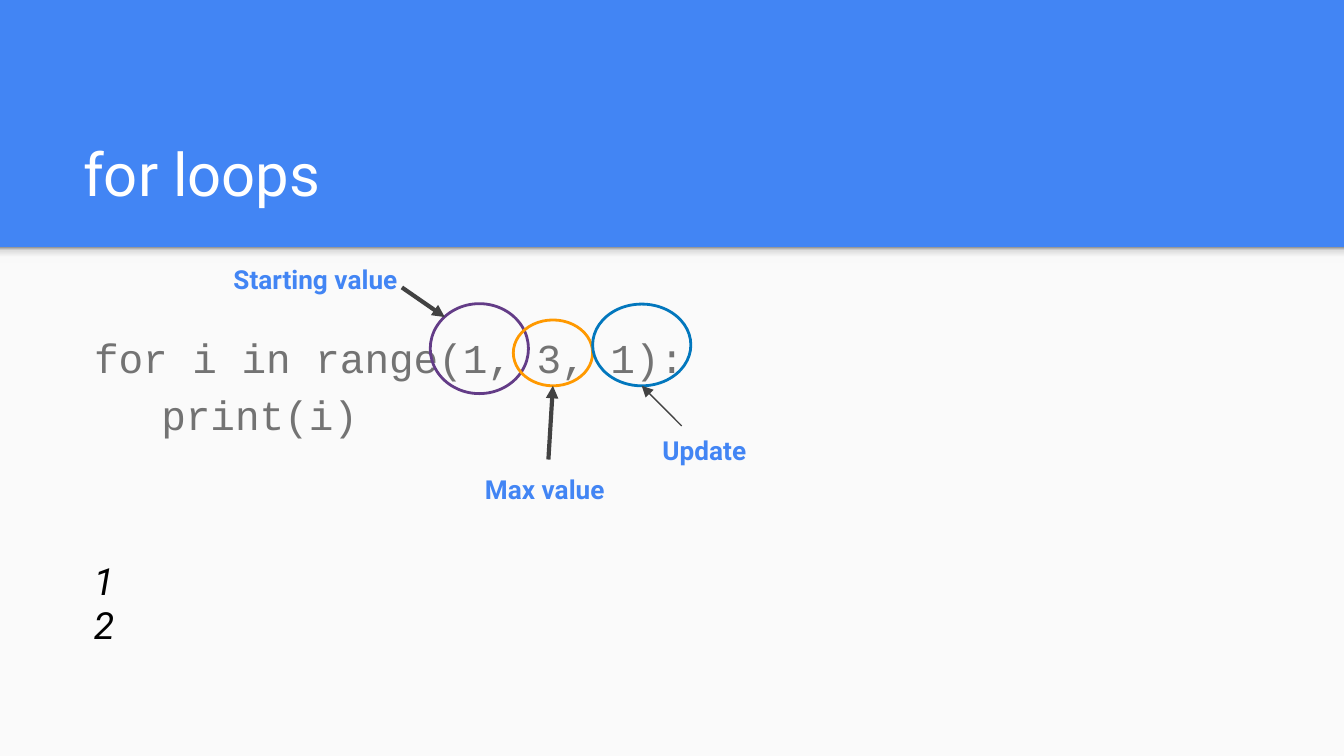
from copy import deepcopy
from dataclasses import dataclass

from lxml.etree import SubElement
from pptx import Presentation
from pptx.dml.color import RGBColor as Rgb
from pptx.enum.shapes import MSO_CONNECTOR as Conn, MSO_SHAPE as Kind
from pptx.enum.text import MSO_ANCHOR as Anchor, MSO_AUTO_SIZE as Fit, PP_ALIGN as Align
from pptx.oxml.ns import qn
from pptx.util import Pt

Box = tuple[float, float, float, float]
Spot = tuple[float, float]


@dataclass(frozen=True)
class Theme:
    blue: str = "4285F4"
    page: str = "FAFAFA"
    white: str = "FFFFFF"
    code: str = "737373"
    black: str = "000000"
    arrow: str = "424242"
    start: str = "633C87"
    stop: str = "FF9900"
    step: str = "0277BD"
    shade: tuple = ((0, "F9F9F9"), (0.36, "F9F9F9"), (0.8, "DEDEDE"), (1, "999999"))
    font: str = "Roboto"
    mono: str = "Courier New"
    title: int = 32
    body: int = 22
    out: int = 20
    note: int = 14


@dataclass(frozen=True)
class Note:
    """A label, the ring it explains and the arrow between them."""
    text: str
    label: Box
    ring: Box
    tint: str
    tail: Spot
    tip: Spot
    width: float = 2.25


T = Theme()
WIDE, HIGH, BAND = 720, 405, 132.5
NOTES = (
    Note("Starting value", (118, 134, 141, 33), (230.5, 162.7, 52.6, 48.2),
         T.start, (215.3, 154), (238.3, 169.9)),
    Note("Max value", (252.7, 246.2, 83.5, 31), (275, 171.4, 42.5, 35.3),
         T.stop, (293.8, 246.2), (296.2, 206.7)),
    Note("Update", (347.8, 225.4, 75, 31), (317.5, 162.9, 52.6, 43.8),
         T.step, (365.2, 228.2), (343.8, 206.7), 0.75),
)


def place(shape, box: Box) -> None:
    shape.left, shape.top, shape.width, shape.height = map(Pt, box)


def write(shape, *lines: str, size: int, color: str, font: str = T.font,
          bold: bool = False, italic: bool = False, anchor=Anchor.TOP,
          space: float = 1, after: float = 0) -> None:
    frame = shape.text_frame
    frame.text = "\n".join(lines)
    frame.word_wrap, frame.auto_size = True, Fit.NONE
    frame.vertical_anchor = anchor
    frame.margin_left = frame.margin_right = Pt(7.2)
    frame.margin_top = frame.margin_bottom = Pt(7.2)
    for para in frame.paragraphs:
        para.alignment = Align.LEFT
        para.line_spacing = space
        para.space_before, para.space_after = Pt(0), Pt(after)
        for run in para.runs:
            face = run.font
            face.name, face.size = font, Pt(size)
            face.bold, face.italic = bold, italic
            face.color.rgb = Rgb.from_string(color)
        for gap in para._p.findall(qn("a:br")):
            gap.append(deepcopy(para.runs[0]._r.rPr))


def plain(para) -> None:
    """Remove the bullet and the indent of a list paragraph."""
    props = para._p.get_or_add_pPr()
    props.set("marL", "0")
    props.set("indent", "0")
    SubElement(props, qn("a:buNone"))


def label(slide, box: Box, *lines: str, **look) -> None:
    write(slide.shapes.add_textbox(*map(Pt, box)), *lines, **look)


def block(slide, box: Box):
    shape = slide.shapes.add_shape(Kind.RECTANGLE, *map(Pt, box))
    shape.shadow.inherit = False
    shape.line.fill.background()
    return shape


def shade(shape) -> None:
    """Fill with the theme's stops, running from bottom to top."""
    fill = shape.fill
    fill.gradient()
    fill.gradient_angle = 90
    stops = shape._element.spPr.find(".//" + qn("a:gsLst"))
    while len(stops) < len(T.shade):
        stops.append(deepcopy(stops[0]))
    for stop, (spot, color) in zip(fill.gradient_stops, T.shade):
        stop.position = spot
        stop.color.rgb = Rgb.from_string(color)


def ring(slide, box: Box, tint: str) -> None:
    shape = slide.shapes.add_shape(Kind.OVAL, *map(Pt, box))
    shape.shadow.inherit = False
    shape.fill.background()
    shape.line.color.rgb = Rgb.from_string(tint)
    shape.line.width = Pt(1.5)


def arrow(slide, tail: Spot, tip: Spot, width: float) -> None:
    link = slide.shapes.add_connector(Conn.STRAIGHT, *map(Pt, tail + tip))
    link.line.color.rgb = Rgb.from_string(T.arrow)
    link.line.width = Pt(width)
    SubElement(link.line._get_or_add_ln(), qn("a:tailEnd"), type="triangle")
    SubElement(link._element.spPr, qn("a:effectLst"))


def main() -> None:
    deck = Presentation()
    deck.slide_width, deck.slide_height = Pt(WIDE), Pt(HIGH)
    slide = deck.slides.add_slide(deck.slide_layouts[1])
    back = slide.background.fill
    back.solid()
    back.fore_color.rgb = Rgb.from_string(T.blue)

    panel = block(slide, (0, BAND, WIDE, HIGH - BAND))
    panel.fill.solid()
    panel.fill.fore_color.rgb = Rgb.from_string(T.page)
    edge = block(slide, (0, BAND, WIDE, 8.6))
    shade(edge)
    tree = slide.shapes._spTree
    for spot, shape in enumerate((panel, edge), 2):
        tree.insert(spot, shape._element)

    title, body = slide.placeholders
    place(title, (37.4, 58.3, 647.3, 60.5))
    write(title, "for loops", size=T.title, color=T.white, anchor=Anchor.BOTTOM)
    place(body, (43.2, 167, 595.4, 103.7))
    write(body, "for i in range(1, 3, 1):\v\tprint(i)", size=T.body,
          color=T.code, font=T.mono, space=1.15, after=12)
    plain(body.text_frame.paragraphs[0])

    for note in NOTES:
        label(slide, note.label, note.text, size=T.note, color=T.blue, bold=True)
        ring(slide, note.ring, note.tint)
        arrow(slide, note.tail, note.tip, note.width)
    label(slide, (43.2, 291.6, 216.7, 63.4), "1", "2",
          size=T.out, color=T.black, italic=True)
    deck.save("out.pptx")


if __name__ == "__main__":
    main()
